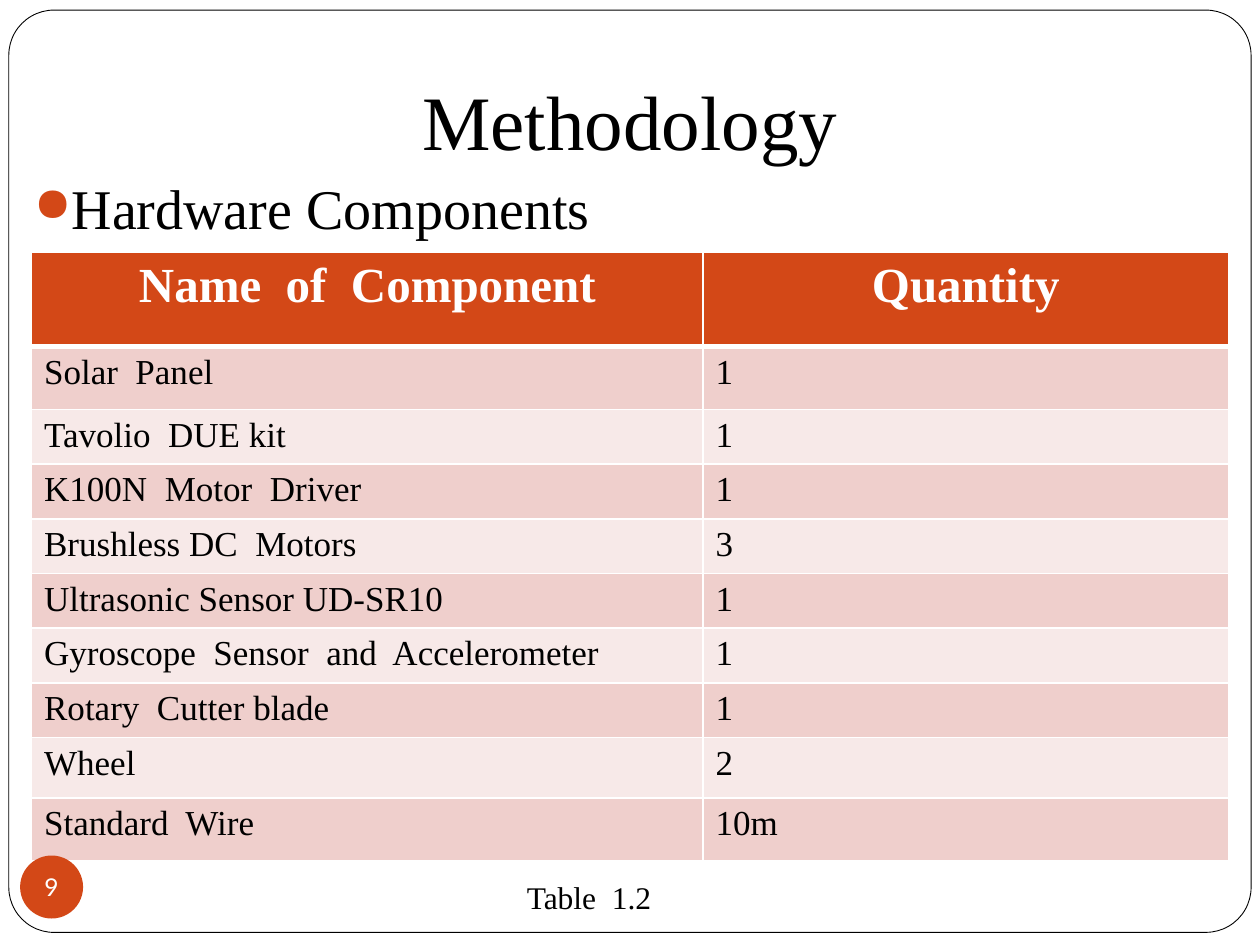
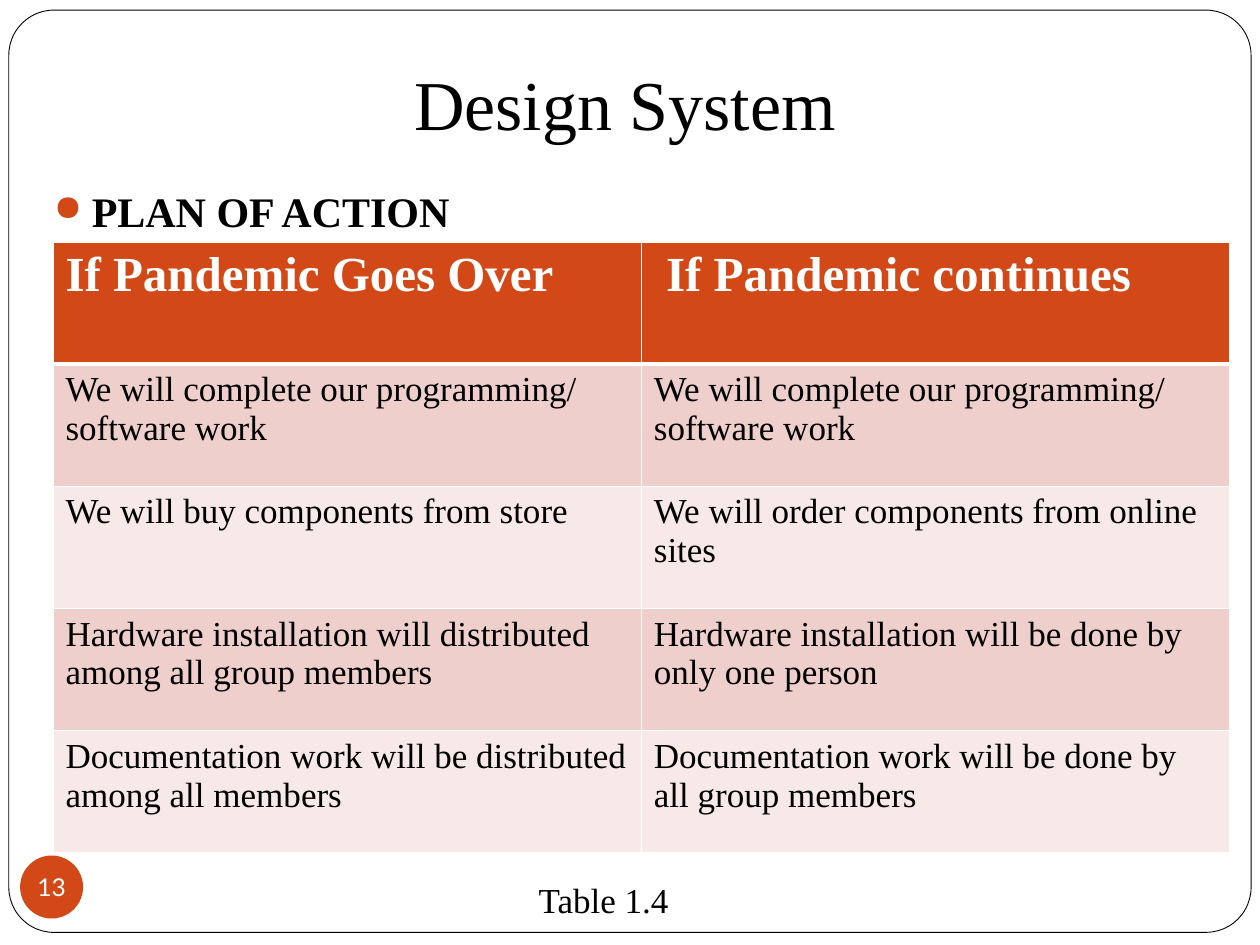
from pptx import Presentation
from pptx.dml.color import RGBColor
from pptx.enum.shapes import MSO_SHAPE as Shape
from pptx.enum.text import MSO_ANCHOR as Anchor, PP_ALIGN as Align
from pptx.oxml import parse_xml
from pptx.oxml.ns import nsdecls
from pptx.util import Inches, Pt

ACCENT, BLACK, WHITE = "D34817", "000000", "FFFFFF"
BANDS = ["EFCFCC", "F7E9E8"]
SERIF = "Times New Roman"


def color(value):
    return RGBColor.from_string(value)


def write(frame, text, size, ink=BLACK, align=Align.LEFT, bold=False, face=SERIF):
    para = frame.paragraphs[0]
    para.alignment = align
    span = para.add_run()
    span.text = text
    span.font.color.rgb = color(ink)
    for name, value in {"size": Pt(size), "bold": bold, "name": face}.items():
        setattr(span.font, name, value)
    return para


slides = [
    {
        "title": ("Methodology", 44, (0.25, 0.3, 9.5, 1.12)),
        "bullet": ("Hardware Components", 32, False, (0.17, 1.33, 9.67, 5.92)),
        "table": (0.25, 2, 9.5, 4.83),
        "columns": [5.33, 4.17],
        "heights": [0.75, 0.5] + [0.42] * 6 + [0.48, 0.5],
        "header_align": Align.CENTER,
        "rows": [
            ("Name  of  Component", "Quantity"),
            ("Solar  Panel", "1"),
            ("Tavolio  DUE kit", "1"),
            ("K100N  Motor  Driver", "1"),
            ("Brushless DC  Motors", "3"),
            ("Ultrasonic Sensor UD-SR10", "1"),
            ("Gyroscope  Sensor  and  Accelerometer", "1"),
            ("Rotary  Cutter blade", "1"),
            ("Wheel", "2"),
            ("Standard  Wire", "10m"),
        ],
        "number": "9",
        "caption": ("Table  1.2", 18, (3.05, 6.92, 3.25, 0.44)),
    },
    {
        "title": ("Design System", 40, (0.42, 0.3, 9.08, 0.95)),
        "bullet": ("PLAN OF ACTION", 24, True, (0.33, 1.42, 9.25, 5.5)),
        "table": (0.42, 1.92, 9.33, 4.83),
        "columns": [4.67] * 2,
        "heights": [0.97] * 5,
        "header_align": Align.LEFT,
        "rows": [
            ("If Pandemic Goes Over", " If Pandemic continues"),
            ("We will complete our programming/ software work",) * 2,
            ("We will buy components from store",
             "We will order components from online sites"),
            ("Hardware installation will distributed among all group members",
             "Hardware installation will be done by only one person"),
            ("Documentation work will be distributed among all members",
             "Documentation work will be done by all group members"),
        ],
        "number": "13",
        "caption": ("Table 1.4", 20, (3.25, 6.92, 3.08, 0.44)),
    },
]

deck = Presentation()
deck.slide_width, deck.slide_height = Inches(10), Inches(7.5)

for content in slides:
    page = deck.slides.add_slide(deck.slide_layouts[6])

    border = page.shapes.add_shape(
        Shape.ROUNDED_RECTANGLE, *map(Inches, (0.07, 0.08, 9.86, 7.32)))
    border.adjustments[0] = 0.049
    border.shadow.inherit = False
    border.fill.solid()
    border.fill.fore_color.rgb = color(WHITE)
    border.line.color.rgb = color(BLACK)
    border.line.width = Pt(0.5)

    text, size, place = content["title"]
    title = page.shapes.add_textbox(*map(Inches, place)).text_frame
    for name, value in {"word_wrap": True, "vertical_anchor": Anchor.BOTTOM,
                        "margin_bottom": Inches(0.1)}.items():
        setattr(title, name, value)
    write(title, text, size, align=Align.CENTER)

    text, size, bold, place = content["bullet"]
    body = page.shapes.add_textbox(*map(Inches, place)).text_frame
    body.word_wrap = True
    para = write(body, text, size, bold=bold)
    para.space_before = Pt(5.8)
    properties = para._p.get_or_add_pPr()
    properties.set("marL", str(Inches(0.3)))
    properties.set("indent", str(Inches(-0.3)))
    for markup in (f'<a:buClr {nsdecls("a")}><a:srgbClr val="{ACCENT}"/></a:buClr>',
                   f'<a:buSzPct {nsdecls("a")} val="85000"/>',
                   f'<a:buChar {nsdecls("a")} char="●"/>'):
        properties.append(parse_xml(markup))

    rows = content["rows"]
    table = page.shapes.add_table(
        len(rows), 2, *map(Inches, content["table"])).table
    for column, width in zip(table.columns, content["columns"]):
        column.width = Inches(width)
    for row, height in zip(table.rows, content["heights"]):
        row.height = Inches(height)
    for index, texts in enumerate(rows):
        header = index == 0
        for cell, text in zip(table.rows[index].cells, texts):
            edges = {"L": 1, "R": 1, "T": 3 if index == 1 else 1, "B": 3 if header else 1}
            for side, width in edges.items():
                cell._tc.get_or_add_tcPr().append(parse_xml(
                    f'<a:ln{side} {nsdecls("a")} w="{Pt(width)}"><a:solidFill>'
                    f'<a:srgbClr val="{WHITE}"/></a:solidFill></a:ln{side}>'))
            cell.fill.solid()
            cell.fill.fore_color.rgb = color(ACCENT if header else BANDS[(index - 1) % 2])
            if header:
                write(cell.text_frame, text, 28, WHITE, content["header_align"], True)
            else:
                write(cell.text_frame, text, 20)

    badge = page.shapes.add_shape(Shape.OVAL, *map(Inches, (0.16, 6.79, 0.5, 0.5)))
    badge.shadow.inherit = False
    badge.fill.solid()
    badge.fill.fore_color.rgb = color(ACCENT)
    badge.line.fill.background()
    for name, value in {"margin_left": 0, "margin_right": 0, "margin_top": 0,
                        "margin_bottom": 0, "word_wrap": False,
                        "vertical_anchor": Anchor.MIDDLE}.items():
        setattr(badge.text_frame, name, value)
    write(badge.text_frame, content["number"], 14, WHITE, Align.CENTER, face="Lato")

    text, size, place = content["caption"]
    caption = page.shapes.add_textbox(*map(Inches, place)).text_frame
    caption.word_wrap = True
    write(caption, text, size, align=Align.CENTER)

deck.save("out.pptx")
